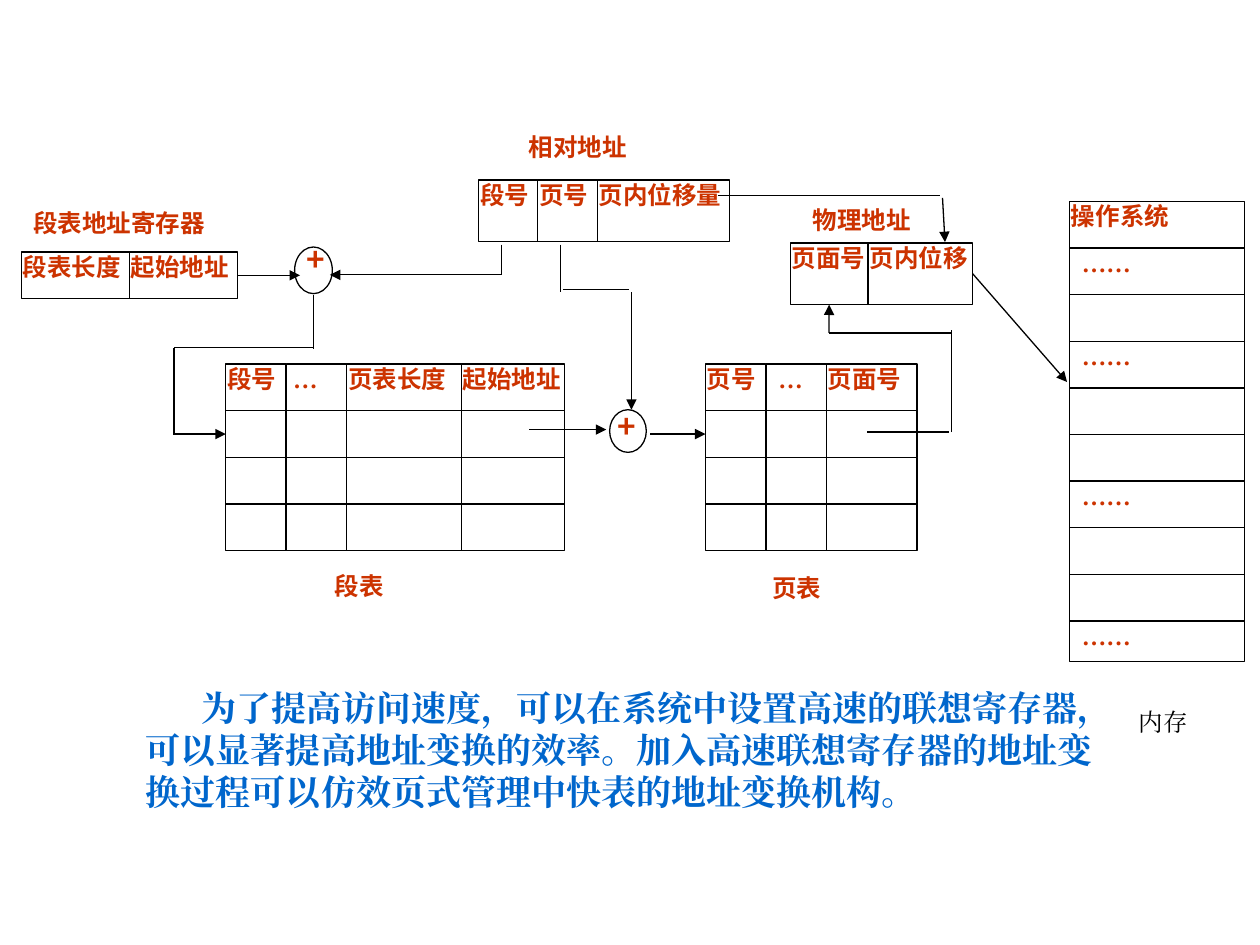
import dataclasses
import typing

import lxml.etree
import pptx
import pptx.dml.color
import pptx.enum.shapes
import pptx.enum.text
import pptx.oxml.ns
import pptx.util

Cm = pptx.util.Cm
Shapes = pptx.enum.shapes.MSO_SHAPE
Align = pptx.enum.text.PP_ALIGN
COLORS = {"black": "000000", "label": "CC3300", "note": "0066CC"}
SANS, SERIF = "Noto Sans CJK SC", "Times New Roman"
ROW = 0.94
CELL_MARGIN = 0.03


@dataclasses.dataclass
class TextStyle:
    font: str = SANS
    size: float = 14
    color: str = "label"
    bold: bool = True
    align: typing.Any = Align.JUSTIFY


@dataclasses.dataclass
class Grid:
    left: float
    top: float
    widths: list[float]
    heights: list[float]
    texts: dict[tuple[int, int], str]
    dots_indent: float = 0


@dataclasses.dataclass
class Label:
    text: str
    left: float
    top: float
    width: float
    height: float
    style: TextStyle = dataclasses.field(default_factory=TextStyle)
    tight: bool = False


@dataclasses.dataclass
class Line:
    start: tuple[float, float]
    end: tuple[float, float]
    arrow: bool = False
    start_joint: typing.Optional[tuple] = None
    end_joint: typing.Optional[tuple] = None


def rgb(name: str) -> pptx.dml.color.RGBColor:
    return pptx.dml.color.RGBColor.from_string(COLORS[name])


def apply_format(target, values: dict) -> None:
    for name, value in values.items():
        setattr(target, name, value)


def write_paragraph(paragraph, text: str, style: TextStyle) -> None:
    paragraph.alignment = style.align
    run = paragraph.add_run()
    run.text = text
    apply_format(run.font, {"name": style.font, "size": pptx.util.Pt(style.size),
                            "bold": style.bold})
    run.font.color.rgb = rgb(style.color)
    east_asian = lxml.etree.SubElement(run.font._element, pptx.oxml.ns.qn("a:ea"))
    east_asian.set("typeface", style.font)


def set_tight_frame(frame, left_margin: float = CELL_MARGIN) -> None:
    apply_format(frame, {"margin_left": Cm(left_margin), "margin_right": Cm(CELL_MARGIN),
                         "margin_top": 0, "margin_bottom": 0, "word_wrap": True,
                         "vertical_anchor": pptx.enum.text.MSO_ANCHOR.TOP})


def draw_outline(slide, kind, left: float, top: float, width: float, height: float):
    shape = slide.shapes.add_shape(kind, Cm(left), Cm(top), Cm(width), Cm(height))
    shape.shadow.inherit = False
    shape.fill.background()
    shape.line.color.rgb = rgb("black")
    shape.line.width = pptx.util.Pt(0.75)
    return shape


def draw_grid(slide, grid: Grid) -> dict:
    cells = {}
    top = grid.top
    for row, height in enumerate(grid.heights):
        left = grid.left
        for column, width in enumerate(grid.widths):
            cell = draw_outline(slide, Shapes.RECTANGLE, left, top, width, height)
            text = grid.texts.get((row, column))
            if text:
                dots = "…" in text
                set_tight_frame(cell.text_frame, grid.dots_indent if dots else CELL_MARGIN)
                write_paragraph(cell.text_frame.paragraphs[0], text,
                                TextStyle(font=SERIF if dots else SANS))
            cells[row, column] = cell
            left += width
        top += height
    return cells


def draw_label(slide, label: Label):
    box = slide.shapes.add_textbox(Cm(label.left), Cm(label.top),
                                   Cm(label.width), Cm(label.height))
    box.text_frame.word_wrap = True
    if label.tight:
        set_tight_frame(box.text_frame)
    write_paragraph(box.text_frame.paragraphs[0], label.text, label.style)


def draw_line(slide, line: Line) -> None:
    connector = slide.shapes.add_connector(
        pptx.enum.shapes.MSO_CONNECTOR.STRAIGHT, *map(Cm, line.start + line.end))
    if line.start_joint:
        connector.begin_connect(*line.start_joint)
    if line.end_joint:
        connector.end_connect(*line.end_joint)
    connector.line.color.rgb = rgb("black")
    connector.line.width = pptx.util.Pt(0.75)
    if line.arrow:
        outline = connector.line._get_or_add_ln()
        lxml.etree.SubElement(outline, pptx.oxml.ns.qn("a:tailEnd")).set("type", "triangle")
    lxml.etree.SubElement(connector._element.spPr, pptx.oxml.ns.qn("a:effectLst"))


def draw_note(slide, lines: list[str]) -> None:
    box = slide.shapes.add_textbox(Cm(2.69), Cm(13.72), Cm(20.09), Cm(3.63))
    frame = box.text_frame
    apply_format(frame, {"word_wrap": False,
                         "auto_size": pptx.enum.text.MSO_AUTO_SIZE.SHAPE_TO_FIT_TEXT})
    style = TextStyle(SERIF, 20, "note", align=Align.LEFT)
    for index, text in enumerate(lines):
        paragraph = frame.add_paragraph() if index else frame.paragraphs[0]
        write_paragraph(paragraph, text, style)
    frame.paragraphs[0]._p.get_or_add_pPr().set("indent", str(Cm(1.12)))


def main() -> None:
    presentation = pptx.Presentation()
    presentation.slide_width, presentation.slide_height = Cm(25.4), Cm(19.05)
    slide = presentation.slides.add_slide(presentation.slide_layouts[6])

    # Registers, tables and memory
    register = draw_grid(slide, Grid(0.43, 5.08, [2.18] * 2, [ROW],
                                     {(0, 0): "段表长度", (0, 1): "起始地址"}))
    segment_table = draw_grid(slide, Grid(
        4.55, 7.34, [1.22, 1.22, 2.31, 2.08], [ROW] * 4,
        {(0, 0): "段号", (0, 1): "…", (0, 2): "页表长度", (0, 3): "起始地址"}, 0.14))
    page_table = draw_grid(slide, Grid(
        14.22, 7.34, [1.22, 1.22, 1.83], [ROW] * 4,
        {(0, 0): "页号", (0, 1): "…", (0, 2): "页面号"}, 0.25))
    draw_grid(slide, Grid(21.56, 4.06, [3.53], [ROW] * 9 + [0.81],
                          {(0, 0): "操作系统"} | {(row, 0): "……" for row in (1, 3, 6, 9)},
                          0.25))
    physical = draw_grid(slide, Grid(15.93, 4.9, [1.57, 2.11], [1.24],
                                     {(0, 0): "页面号", (0, 1): "页内位移"}))
    draw_grid(slide, Grid(9.65, 3.63, [1.19, 1.2, 2.67], [1.24],
                          {(0, 0): "段号", (0, 1): "页号", (0, 2): "页内位移量"}))

    # Adders
    draw_outline(slide, Shapes.OVAL, 5.94, 4.98, 0.76, 0.94)
    draw_outline(slide, Shapes.OVAL, 12.29, 8.26, 0.74, 0.86)

    # Captions
    plus = TextStyle(size=18)
    for label in (
        Label("段表地址寄存器", 0.64, 4.19, 3.84, 0.64, tight=True),
        Label("段表", 6.5, 11.38, 2.18, 0.86),
        Label("页表", 15.32, 11.43, 3.18, 1.22),
        Label("物理地址", 16.13, 4.01, 3.2, 1.22),
        Label("相对地址", 10.41, 2.54, 2.72, 1.22),
        Label("内存", 22.71, 14.12, 1.83, 0.84, TextStyle(SERIF, color="black", bold=False)),
        Label("+", 6.15, 4.83, 0.76, 1.35, plus, True),
        Label("+", 12.42, 8.2, 0.71, 1.04, plus, True),
    ):
        draw_label(slide, label)

    # Address translation flow
    for line in (
        Line((4.79, 5.55), (6.05, 5.55), True, start_joint=(register[0, 1], 3)),
        Line((6.32, 5.94), (6.32, 7.04)),
        Line((6.32, 7.01), (3.51, 7.01)),
        Line((3.51, 7.01), (3.51, 8.76)),
        Line((3.51, 8.75), (4.55, 8.75), True, end_joint=(segment_table[1, 0], 1)),
        Line((10.11, 4.93), (10.11, 5.54)),
        Line((10.11, 5.54), (6.65, 5.54), True),
        Line((11.3, 4.93), (11.3, 5.89)),
        Line((11.35, 5.84), (12.67, 5.84)),
        Line((12.73, 5.89), (12.73, 8.26), True),
        Line((10.67, 8.66), (12.22, 8.66), True),
        Line((13.11, 8.75), (14.22, 8.75), True, end_joint=(page_table[1, 0], 1)),
        Line((17.48, 8.71), (19.13, 8.71)),
        Line((19.18, 8.71), (19.18, 6.65)),
        Line((19.18, 6.71), (16.71, 6.71)),
        Line((16.71, 6.71), (16.71, 6.14), True, end_joint=(physical[0, 0], 2)),
        Line((14.48, 3.94), (18.95, 3.94)),
        Line((19, 3.99), (19.05, 4.88), True),
        Line((19.61, 5.52), (21.51, 7.7), True, start_joint=(physical[0, 1], 3)),
    ):
        draw_line(slide, line)

    # Closing remark
    draw_note(slide, ["为了提高访问速度，可以在系统中设置高速的联想寄存器，",
                      "可以显著提高地址变换的效率。加入高速联想寄存器的地址变",
                      "换过程可以仿效页式管理中快表的地址变换机构。"])
    presentation.save("out.pptx")


if __name__ == "__main__":
    main()
